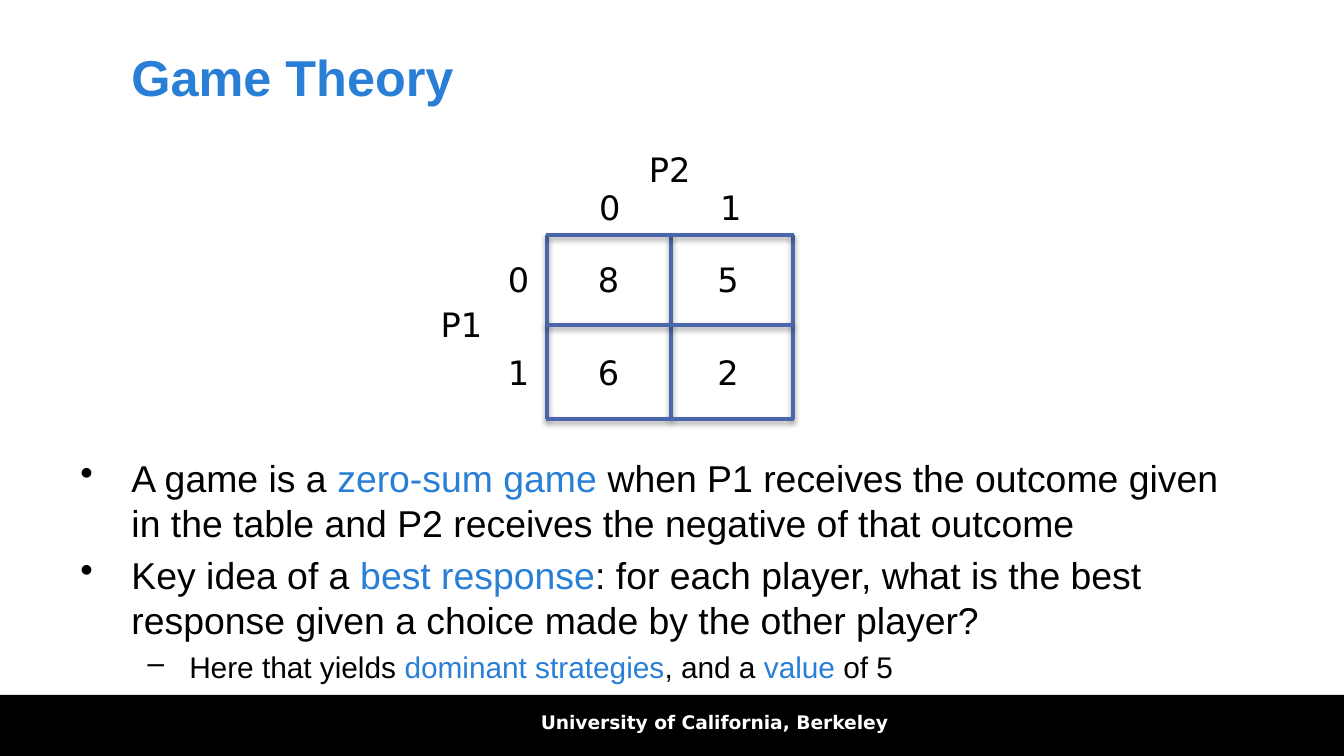
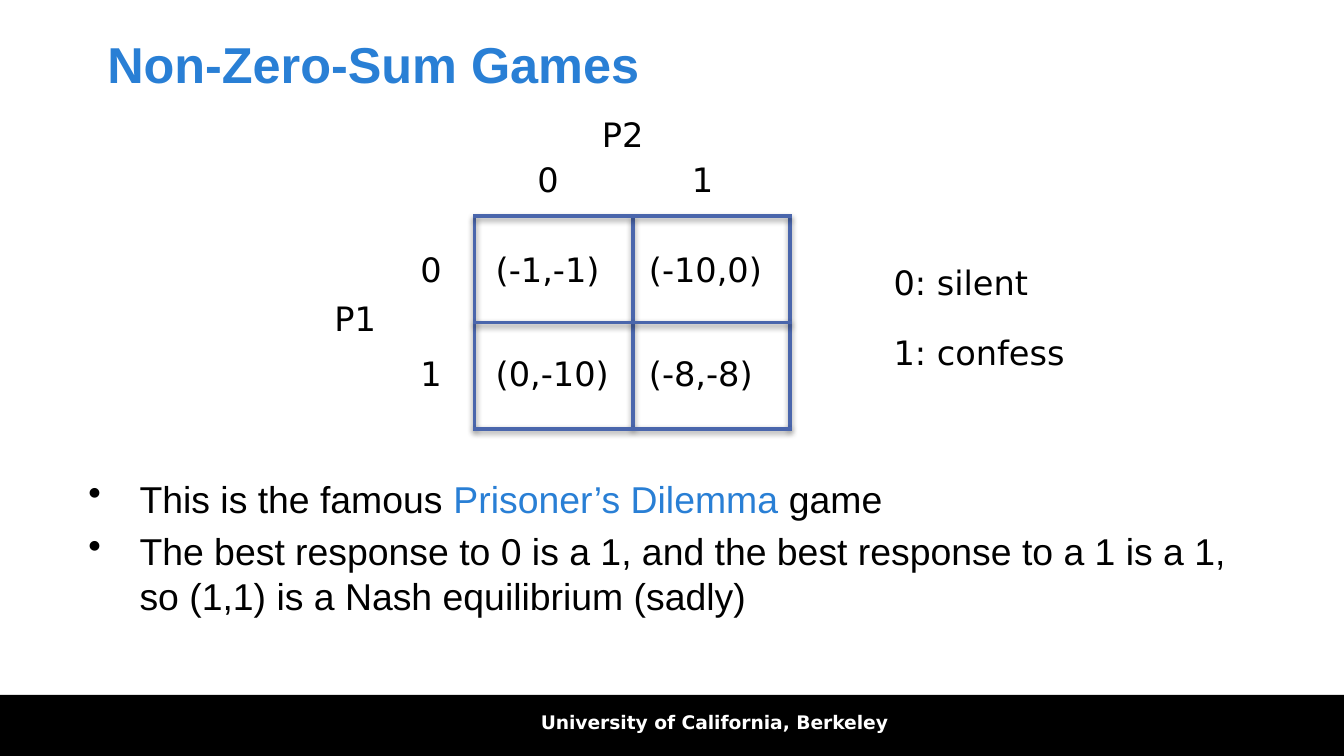
from dataclasses import dataclass

from lxml import etree
from pptx import Presentation
from pptx.dml.color import RGBColor
from pptx.enum.shapes import MSO_CONNECTOR, MSO_SHAPE
from pptx.enum.text import MSO_ANCHOR, MSO_AUTO_SIZE, PP_ALIGN
from pptx.oxml.ns import qn
from pptx.util import Inches, Pt

STRAIGHT = MSO_CONNECTOR.STRAIGHT
RECTANGLE = MSO_SHAPE.RECTANGLE
MIDDLE = MSO_ANCHOR.MIDDLE
GROW = MSO_AUTO_SIZE.SHAPE_TO_FIT_TEXT
CENTER = PP_ALIGN.CENTER


@dataclass(frozen=True)
class Theme:
    accent: RGBColor = RGBColor(0x29, 0x7F, 0xD5)
    grid: RGBColor = RGBColor(0x4A, 0x66, 0xAC)
    black: RGBColor = RGBColor(0, 0, 0)
    white: RGBColor = RGBColor(255, 255, 255)
    text_font: str = "Arial"
    label_font: str = "DejaVu Sans"
    title_size: int = 27
    label_size: int = 18
    footer_size: int = 10
    grid_width: int = 2
    # Per bullet level: character, type size, text indent, hanging indent
    levels: tuple = (("•", 20, 0.38, 0.38), ("–", 16, 0.81, 0.31))


class Deck:
    def __init__(self, theme):
        self.theme = theme
        self.presentation = Presentation()
        # Widescreen, 16:9
        self.presentation.slide_width = Inches(10)
        self.presentation.slide_height = Inches(10) * 9 // 16
        self.slide = None

    def new_slide(self, title, left, top):
        blank = self.presentation.slide_layouts[6]
        self.slide = self.presentation.slides.add_slide(blank)
        self.footer()
        self.title(title, left, top)

    def style(self, paragraph, font, size, color, bold=False):
        paragraph.font.name = font
        paragraph.font.size = Pt(size)
        paragraph.font.color.rgb = color
        paragraph.font.bold = bold

    def text_frame(self, left, top, width, height):
        box = self.slide.shapes.add_textbox(
            Inches(left), Inches(top), Inches(width), Inches(height))
        box.text_frame.word_wrap = True
        return box.text_frame

    def footer(self):
        top = Inches(5.17)
        band = self.slide.shapes.add_shape(
            RECTANGLE, 0, top, self.presentation.slide_width,
            self.presentation.slide_height - top)
        band.shadow.inherit = False
        band.fill.solid()
        band.fill.fore_color.rgb = self.theme.black
        band.line.fill.background()
        university = self.text_frame(2.15, 5.24, 6.33, 0.35).paragraphs[0]
        university.text = "University of California, Berkeley"
        university.alignment = CENTER
        self.style(university, self.theme.label_font, self.theme.footer_size,
                   self.theme.white, bold=True)

    def title(self, text, left, top):
        frame = self.text_frame(left, top, 6.4, 0.54)
        frame.vertical_anchor = MIDDLE
        heading = frame.paragraphs[0]
        heading.text = text
        self.style(heading, self.theme.text_font, self.theme.title_size,
                   self.theme.accent, bold=True)

    def label(self, text, left, top, width=0.36):
        frame = self.text_frame(left, top, width, 0.4)
        frame.word_wrap = False
        frame.auto_size = GROW
        frame.paragraphs[0].text = text
        self.style(frame.paragraphs[0], self.theme.label_font,
                   self.theme.label_size, self.theme.black)

    def grid_line(self, x1, y1, x2, y2):
        line = self.slide.shapes.add_connector(
            STRAIGHT, Inches(x1), Inches(y1), Inches(x2), Inches(y2))
        line.line.color.rgb = self.theme.grid
        line.line.width = Pt(self.theme.grid_width)
        # Soft shadow straight below the line
        effects = etree.SubElement(line._element.spPr, qn("a:effectLst"))
        shadow = etree.SubElement(
            effects, qn("a:outerShdw"), blurRad=str(Pt(3.1)),
            dist=str(Pt(1.6)), dir="5400000", rotWithShape="0")
        color = etree.SubElement(shadow, qn("a:srgbClr"),
                                 val=str(self.theme.black))
        etree.SubElement(color, qn("a:alpha"), val="38000")

    def payoff_matrix(self, payoffs, xs, ys, cell_lefts, row_tops,
                      choice_lefts, choice_top, choice_side, p1, p2,
                      cell_width=0.36):
        """Draw a two-player game; xs and ys are the grid line positions."""
        for x in xs:
            self.grid_line(x, ys[0], x, ys[-1])
        for y in ys:
            self.grid_line(xs[0] - 0.01, y, xs[-1] + 0.01, y)
        self.label("P1", *p1, width=0.52)
        self.label("P2", *p2, width=0.52)
        for choice, (left, top) in enumerate(zip(choice_lefts, row_tops)):
            self.label(str(choice), choice_side, top)
            self.label(str(choice), left, choice_top)
        for top, row in zip(row_tops, payoffs):
            for left, payoff in zip(cell_lefts, row):
                self.label(payoff, left, top, cell_width)

    def bullets(self, left, top, items):
        """Each item is (level, text); *stars* enclose accented terms."""
        frame = self.text_frame(left, top, 8.82, 1.75)
        for index, (level, text) in enumerate(items):
            bullet, size, indent, hanging = self.theme.levels[level]
            item = frame.add_paragraph() if index else frame.paragraphs[0]
            item.level = level
            item.space_before = Pt(0.2 * size)
            self.style(item, self.theme.text_font, size, self.theme.black)
            properties = item._p.get_or_add_pPr()
            properties.set("marL", str(Inches(indent)))
            properties.set("indent", str(-Inches(hanging)))
            mark = etree.Element(qn("a:buChar"), char=bullet)
            properties.find(qn("a:defRPr")).addprevious(mark)
            for part, words in enumerate(text.split("*")):
                run = item.add_run()
                run.text = words
                if part % 2:
                    run.font.color.rgb = self.theme.accent


def game_theory(deck):
    deck.new_slide("Game Theory", 0.88, 0.3)
    deck.payoff_matrix(
        [("8", "5"), ("6", "2")],
        xs=(4.07, 4.99, 5.9), ys=(1.75, 2.42, 3.12),
        cell_lefts=(4.35, 5.24), row_tops=(1.88, 2.57),
        choice_lefts=(4.36, 5.26), choice_top=1.34, choice_side=3.68,
        p1=(3.18, 2.21), p2=(4.73, 1.06))
    deck.bullets(0.5, 3.34, [
        (0, "A game is a *zero-sum game* when P1 receives the outcome given "
            "in the table and P2 receives the negative of that outcome"),
        (0, "Key idea of a *best response*: for each player, what is the best "
            "response given a choice made by the other player?"),
        (1, "Here that yields *dominant strategies*, and a *value* of 5"),
    ])


def non_zero_sum_games(deck):
    deck.new_slide("Non-Zero-Sum Games", 0.7, 0.2)
    deck.payoff_matrix(
        [("(-1,-1)", "(-10,0)"), ("(0,-10)", "(-8,-8)")],
        xs=(3.53, 4.71, 5.88), ys=(1.61, 2.4, 3.19),
        cell_lefts=(3.59, 4.73), row_tops=(1.8, 2.58),
        choice_lefts=(3.9, 5.05), choice_top=1.13, choice_side=3.03,
        p1=(2.39, 2.17), p2=(4.38, 0.8), cell_width=1.12)
    # Meaning of the choices
    deck.label("0: silent", 6.55, 1.9, 1.25)
    deck.label("1: confess", 6.55, 2.42, 1.51)
    deck.bullets(0.56, 3.49, [
        (0, "This is the famous *Prisoner’s Dilemma *game"),
        (0, "The best response to 0 is a 1, and the best response to a 1 is "
            "a 1, so (1,1) is a Nash equilibrium (sadly)"),
    ])


def main():
    deck = Deck(Theme())
    game_theory(deck)
    non_zero_sum_games(deck)
    deck.presentation.save("out.pptx")


if __name__ == "__main__":
    main()
